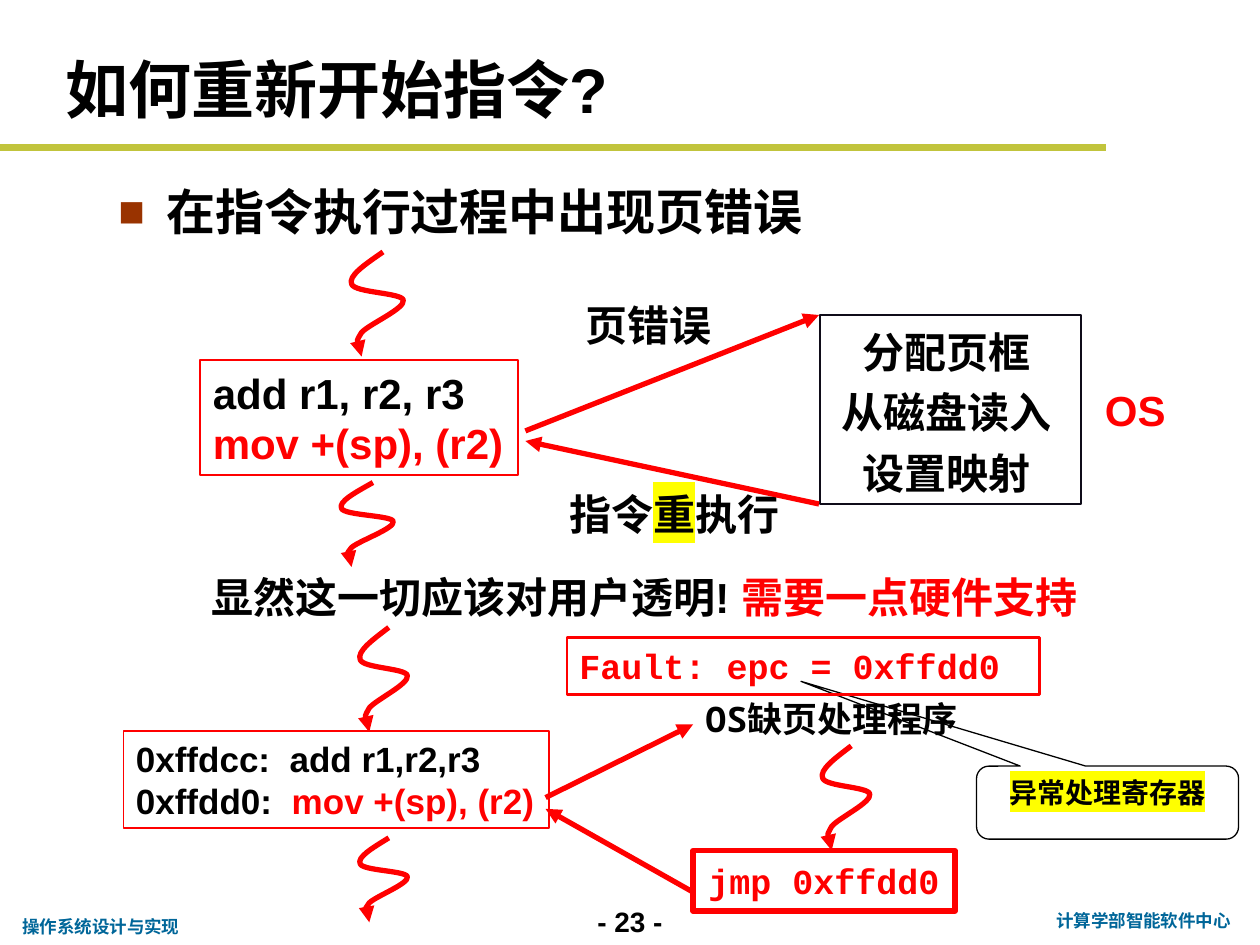
"""Build the slide on restarting an instruction after a page fault."""
from lxml import etree
from pptx import Presentation
from pptx.dml.color import RGBColor
from pptx.enum.shapes import MSO_CONNECTOR, MSO_SHAPE
from pptx.enum.text import MSO_ANCHOR, PP_ALIGN
from pptx.oxml.ns import qn
from pptx.util import Inches, Pt

STRAIGHT = MSO_CONNECTOR.STRAIGHT
RECTANGLE, CALLOUT = MSO_SHAPE.RECTANGLE, MSO_SHAPE.ROUNDED_RECTANGULAR_CALLOUT
TOP, MIDDLE = MSO_ANCHOR.TOP, MSO_ANCHOR.MIDDLE
LEFT, CENTER = PP_ALIGN.LEFT, PP_ALIGN.CENTER

BLACK = RGBColor(0x00, 0x00, 0x00)
WHITE = RGBColor(0xFF, 0xFF, 0xFF)
RED = RGBColor(0xFF, 0x00, 0x00)
INK = RGBColor(0x0F, 0x0C, 0x19)
OLIVE = RGBColor(0xC1, 0xC4, 0x3C)
TEAL = RGBColor(0x00, 0x66, 0x99)
BROWN = RGBColor(0x99, 0x33, 0x00)
YELLOW = RGBColor(0xFF, 0xFF, 0x00)

TITLE = [["如何重新开始指令?"]]
BULLET = [["在指令执行过程中出现页错误"]]

FOOTERS = [
    ((4.5, 7.13, 1, 0.37), [["- 23 -"]], dict(size=16, align=CENTER)),
    ((8.25, 7.17, 1.65, 0.27), [["计算学部智能软件中心"]], dict(size=10, color=TEAL, align=CENTER)),
    ((0.08, 7.22, 1.46, 0.27), [["操作系统设计与实现"]], dict(size=10, color=TEAL, wrap=False)),
]

NOTE = ((7.75, 6.08, 2.08, 0.58), [[("异常处理寄存器", BLACK, YELLOW)]], dict(size=16, align=CENTER))

LABELS = [
    ((4.54, 2.33, 1.21, 0.5), [["页错误"]],
     dict(font="Comic Neue", align=CENTER, anchor=MIDDLE, wrap=False)),
    ((6.57, 2.45, 1.89, 1.56), [["分配页框"], ["从磁盘读入"], ["设置映射"]],
     dict(align=CENTER, anchor=MIDDLE, wrap=False, spacing=1.2)),
    ((8.67, 3, 0.68, 0.5), [["OS"]],
     dict(color=RED, align=CENTER, anchor=MIDDLE, wrap=False)),
    ((4.41, 3.83, 1.88, 0.5), [["指令", ("重", BLACK, YELLOW), "执行"]],
     dict(font="Comic Neue", align=CENTER, anchor=MIDDLE, wrap=False)),
    ((1.08, 4.33, 8.25, 0.66), [["显然这一切应该对用户透明! ", ("需要一点硬件支持", RED)]],
     dict(spacing=1.4, indent=(0.5, 0))),
    ((5.5, 5.48, 2.83, 0.44), [["OS缺页处理程序"]],
     dict(size=20, font="Noto Sans Mono", anchor=MIDDLE)),
]

FRAMES = [
    ((1.59, 2.86, 2.52, 0.91), RED, 1, [["add r1, r2, r3"], [("mov +(sp), (r2)", RED)]],
     dict(anchor=MIDDLE, wrap=False)),
    ((6.51, 2.5, 2.07, 1.5), INK, 1, [], {}),
    ((4.5, 5.06, 3.75, 0.45), RED, 1.5, [["Fault: epc = 0xffdd0"]],
     dict(size=20, font="Courier New", color=RED, anchor=MIDDLE)),
    ((5.5, 6.75, 2.08, 0.48), RED, 3, [["jmp 0xffdd0"]],
     dict(size=20, font="Courier New", color=RED, align=CENTER, anchor=MIDDLE, wrap=False)),
    ((0.98, 5.8, 3.38, 0.77), RED, 1,
     [["0xffdcc:  add r1,r2,r3"], ["0xffdd0:  ", ("mov +(sp), (r2)", RED)]],
     dict(size=20, anchor=MIDDLE, wrap=False)),
]

ARROWS = [
    ((4.17, 3.42), (6.5, 2.5)),
    ((6.5, 4), (4.17, 3.5)),
    ((4.33, 6.33), (5.5, 5.75)),
    ((5.5, 7.08), (4.33, 6.42)),
]

SQUIGGLES = [
    (2.76, 2, 0.46, 0.83),
    (2.68, 3.83, 0.46, 0.67),
    (2.83, 4.98, 0.42, 0.83),
    (2.83, 6.65, 0.42, 0.67),
    (6.5, 5.92, 0.42, 0.83),
]
WAVE = [(0.61, 0), (0.3, 0.12), (0, 0.23), (0.07, 0.31), (0.13, 0.39), (0.93, 0.39), (0.96, 0.46),
        (1, 0.54), (0.37, 0.69), (0.24, 0.77), (0.13, 0.87), (0.17, 0.93), (0.24, 1)]


def place(shape, area):
    for name, value in zip(("left", "top", "width", "height"), area):
        setattr(shape, name, Inches(value))


def add_span(para, words, color, marker=None, **font):
    span = para.add_run()
    span.text = words
    for name, value in font.items():
        setattr(span.font, name, value)
    span.font.color.rgb = color
    if marker:
        highlight = etree.Element(qn("a:highlight"))
        etree.SubElement(highlight, qn("a:srgbClr"), val=str(marker))
        span._r.rPr.find(qn("a:solidFill")).addnext(highlight)


def write(shape, lines, size=24, font="Arial", color=BLACK, align=LEFT, anchor=TOP,
          wrap=True, spacing=1.0, indent=(0, 0), bullet=None):
    frame = shape.text_frame
    frame.word_wrap, frame.vertical_anchor = wrap, anchor
    for index, line in enumerate(lines):
        para = frame.add_paragraph() if index else frame.paragraphs[0]
        para.alignment, para.line_spacing, para.space_before = align, spacing, Pt(0)
        properties = para._p.get_or_add_pPr()
        for name, value in zip(("marL", "indent"), indent):
            properties.set(name, str(Inches(value)))
        if bullet:
            tint = etree.SubElement(properties, qn("a:buClr"))
            etree.SubElement(tint, qn("a:srgbClr"), val=str(BROWN))
            etree.SubElement(properties, qn("a:buSzPct"), val="90000")
            etree.SubElement(properties, qn("a:buChar"), char=bullet)
        for part in line:
            pieces = (part, color) if isinstance(part, str) else part
            add_span(para, *pieces, size=Pt(size), name=font, bold=True)


def stroke(shape, color, width, arrow=False):
    shape.line.color.rgb, shape.line.width = color, Pt(width)
    if arrow:
        etree.SubElement(shape.line._get_or_add_ln(), qn("a:tailEnd"), type="triangle")


def add_line(page, start, end, color, width, arrow=False):
    line = page.shapes.add_connector(STRAIGHT, *map(Inches, start + end))
    stroke(line, color, width, arrow)
    etree.SubElement(line._element.spPr, qn("a:effectLst"))


def add_label(page, area, lines, style):
    write(page.shapes.add_textbox(*map(Inches, area)), lines, **style)


def add_frame(page, area, color, width, lines, style):
    box = page.shapes.add_shape(RECTANGLE, *map(Inches, area))
    box.shadow.inherit = False
    box.fill.background()
    stroke(box, color, width)
    write(box, lines, **style)


def add_note(page, area, lines, style):
    note = page.shapes.add_shape(CALLOUT, *map(Inches, area))
    note.shadow.inherit = False
    note.rotation = 180
    note.text_frame._txBody.bodyPr.set("rot", "10800000")
    for index, value in enumerate((1.17, 1.66, 0.17)):
        note.adjustments[index] = value
    note.fill.solid()
    note.fill.fore_color.rgb = WHITE
    stroke(note, BLACK, 0.75)
    write(note, lines, **style)


def add_squiggle(page, area):
    left, top, width, height = area
    knots = [(Inches(left + x * width), Inches(top + y * height)) for x, y in WAVE]
    builder = page.shapes.build_freeform(*knots[0])
    builder.add_line_segments(knots[1:], close=False)
    curve = builder.convert_to_shape()
    outline = next(curve._element.iter(qn("a:path")))
    segments = outline.findall(qn("a:lnTo"))
    for first in range(0, len(segments), 3):
        bend = etree.SubElement(outline, qn("a:cubicBezTo"))
        for segment in segments[first:first + 3]:
            bend.append(segment[0])
            outline.remove(segment)
    curve.shadow.inherit = False
    curve.fill.background()
    stroke(curve, RED, 3, arrow=True)


def main():
    deck = Presentation()
    deck.slide_width, deck.slide_height = Inches(10), Inches(7.5)
    page = deck.slides.add_slide(deck.slide_layouts[1])
    title, body = page.placeholders
    place(title, (0.42, 0.33, 9, 0.74))
    write(title, TITLE, size=36, anchor=MIDDLE)
    place(body, (0.84, 1.25, 8.66, 0.95))
    write(body, BULLET, size=28, spacing=1.3, indent=(0.38, -0.38), bullet="■")
    add_line(page, (0, 1.17), (8.78, 1.17), OLIVE, 4)
    add_note(page, *NOTE)
    for label in FOOTERS + LABELS:
        add_label(page, *label)
    for frame in FRAMES:
        add_frame(page, *frame)
    for start, end in ARROWS:
        add_line(page, start, end, RED, 3, arrow=True)
    for area in SQUIGGLES:
        add_squiggle(page, area)
    deck.save("out.pptx")


if __name__ == "__main__":
    main()
